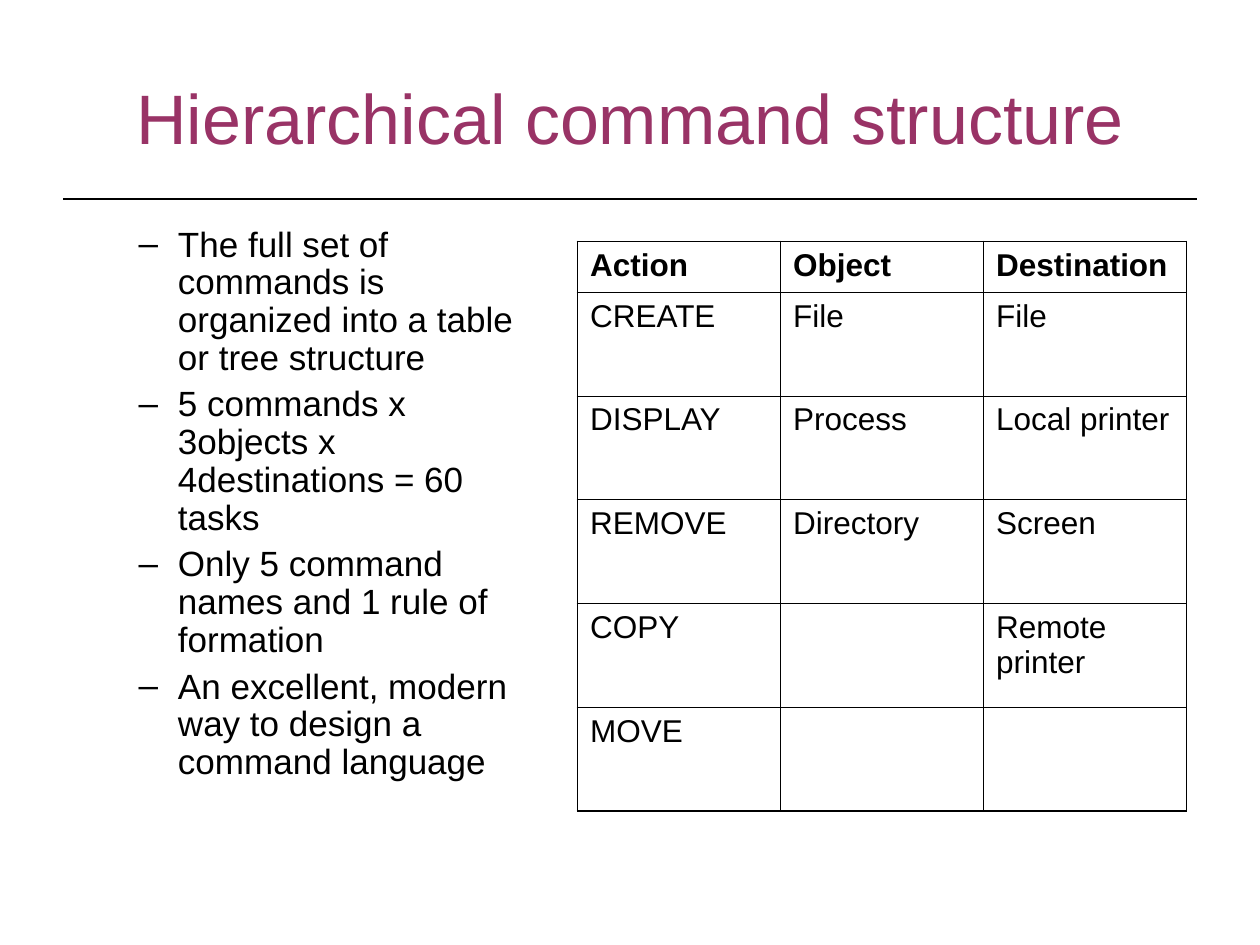
from collections import namedtuple
from dataclasses import dataclass

import lxml.etree
import pptx
import pptx.dml.color
import pptx.enum.text
import pptx.oxml.ns
import pptx.util

Pt = pptx.util.Pt
qn = pptx.oxml.ns.qn
RGBColor = pptx.dml.color.RGBColor
PP_ALIGN = pptx.enum.text.PP_ALIGN
MSO_ANCHOR = pptx.enum.text.MSO_ANCHOR
MSO_AUTO_SIZE = pptx.enum.text.MSO_AUTO_SIZE

Box = namedtuple("Box", "left top width height")


@dataclass(frozen=True)
class Theme:
    font: str = "Arial"
    accent: str = "993366"
    ink: str = "000000"
    title_size: float = 40
    list_size: float = 20
    table_size: float = 18
    rule_width: float = 0.75
    outer_border: float = 1.08
    inner_border: float = 0.45


THEME = Theme()

TITLE = "Hierarchical command structure"
POINTS = [
    "The full set of commands is organized into a table or tree structure",
    "5 commands x 3objects x 4destinations = 60 tasks",
    "Only 5 command names and 1 rule of formation",
    "An excellent, modern way to design a command language",
]
COMMANDS = [
    ("Action", "Object", "Destination"),
    ("CREATE", "File", "File"),
    ("DISPLAY", "Process", "Local printer"),
    ("REMOVE", "Directory", "Screen"),
    ("COPY", "", "Remote printer"),
    ("MOVE", "", ""),
]


def set_attributes(target, values):
    for name, value in values.items():
        setattr(target, name, value)


def place(shape, box):
    set_attributes(shape, {side: Pt(value) for side, value in box._asdict().items()})


def format_font(font, size, color, bold=False):
    set_attributes(font, {"name": THEME.font, "size": Pt(size), "bold": bold})
    font.color.rgb = RGBColor.from_string(color)


def add_title(slide, box):
    title = slide.shapes.title
    place(title, box)
    title.text_frame.text = TITLE
    set_attributes(title.text_frame, {
        "vertical_anchor": MSO_ANCHOR.MIDDLE,
        "auto_size": MSO_AUTO_SIZE.NONE,
        "word_wrap": True,
    })
    paragraph = title.text_frame.paragraphs[0]
    paragraph.alignment = PP_ALIGN.CENTER
    format_font(paragraph.runs[0].font, THEME.title_size, THEME.accent)


def add_rule(slide, box):
    left, top, right = Pt(box.left), Pt(box.top), Pt(box.left + box.width)
    rule = slide.shapes.add_connector(pptx.enum.shapes.MSO_CONNECTOR.STRAIGHT,
                                      left, top, right, top)
    rule.line.width = Pt(THEME.rule_width)
    rule.line.color.rgb = RGBColor.from_string(THEME.ink)
    lxml.etree.SubElement(rule._element.spPr, qn("a:effectLst"))


def add_dash(paragraph, margin, indent):
    """Give the paragraph a dash bullet with a hanging indent."""
    properties = paragraph._p.get_or_add_pPr()
    properties.set("marL", str(Pt(margin)))
    properties.set("indent", str(Pt(indent)))
    color = lxml.etree.SubElement(properties, qn("a:buClr"))
    lxml.etree.SubElement(color, qn("a:srgbClr"), val=THEME.ink)
    lxml.etree.SubElement(properties, qn("a:buFont"), typeface=THEME.font)
    lxml.etree.SubElement(properties, qn("a:buChar"), char="–")


def add_points(slide, box):
    body = slide.placeholders[1]
    place(body, box)
    frame = body.text_frame
    frame.text = "\n".join(POINTS)
    set_attributes(frame, {"auto_size": MSO_AUTO_SIZE.NONE, "word_wrap": True})
    for paragraph in frame.paragraphs:
        set_attributes(paragraph, {
            "level": 1,
            "line_spacing": 0.9,
            "space_before": Pt(5),
        })
        add_dash(paragraph, margin=58.5, indent=-22.5)
        format_font(paragraph.runs[0].font, THEME.list_size, THEME.ink)


def set_borders(cell, outer_sides):
    """Draw all four cell borders, with the outer sides of the table heavier."""
    properties = cell._tc.get_or_add_tcPr()
    for index, side in enumerate("LRTB"):
        width = THEME.outer_border if side in outer_sides else THEME.inner_border
        line = lxml.etree.Element(qn(f"a:ln{side}"), w=str(Pt(width)))
        fill = lxml.etree.SubElement(line, qn("a:solidFill"))
        lxml.etree.SubElement(fill, qn("a:srgbClr"), val=THEME.ink)
        properties.insert(index, line)


def add_command_table(slide, box, header_height):
    row_count, column_count = len(COMMANDS), len(COMMANDS[0])
    frame = slide.shapes.add_table(row_count, column_count,
                                   *(Pt(value) for value in box))
    table = frame.table
    set_attributes(table, {"first_row": False, "horz_banding": False})
    for column in table.columns:
        column.width = Pt(box.width / column_count)
    body_height = (box.height - header_height) / (row_count - 1)
    for row_index, texts in enumerate(COMMANDS):
        is_header = row_index == 0
        table.rows[row_index].height = Pt(header_height if is_header else body_height)
        for column_index, text in enumerate(texts):
            cell = table.cell(row_index, column_index)
            cell.text = text
            cell.fill.background()
            paragraph = cell.text_frame.paragraphs[0]
            paragraph.space_before = Pt(4.5)
            for run in paragraph.runs:
                format_font(run.font, THEME.table_size, THEME.ink, bold=is_header)
            edges = {"L": column_index == 0, "R": column_index == column_count - 1,
                     "T": is_header, "B": row_index == row_count - 1}
            set_borders(cell, [side for side, outer in edges.items() if outer])


def build_slide(presentation):
    slide = presentation.slides.add_slide(presentation.slide_layouts[1])
    add_rule(slide, Box(36, 113.75, 648, 0))
    add_title(slide, Box(36, 21.6, 648, 90))
    add_points(slide, Box(36, 126, 270, 356.4))
    add_command_table(slide, Box(330, 138, 348, 325.5), header_height=29)


def main():
    presentation = pptx.Presentation()
    set_attributes(presentation, {"slide_width": Pt(720), "slide_height": Pt(540)})
    build_slide(presentation)
    presentation.save("out.pptx")


if __name__ == "__main__":
    main()
